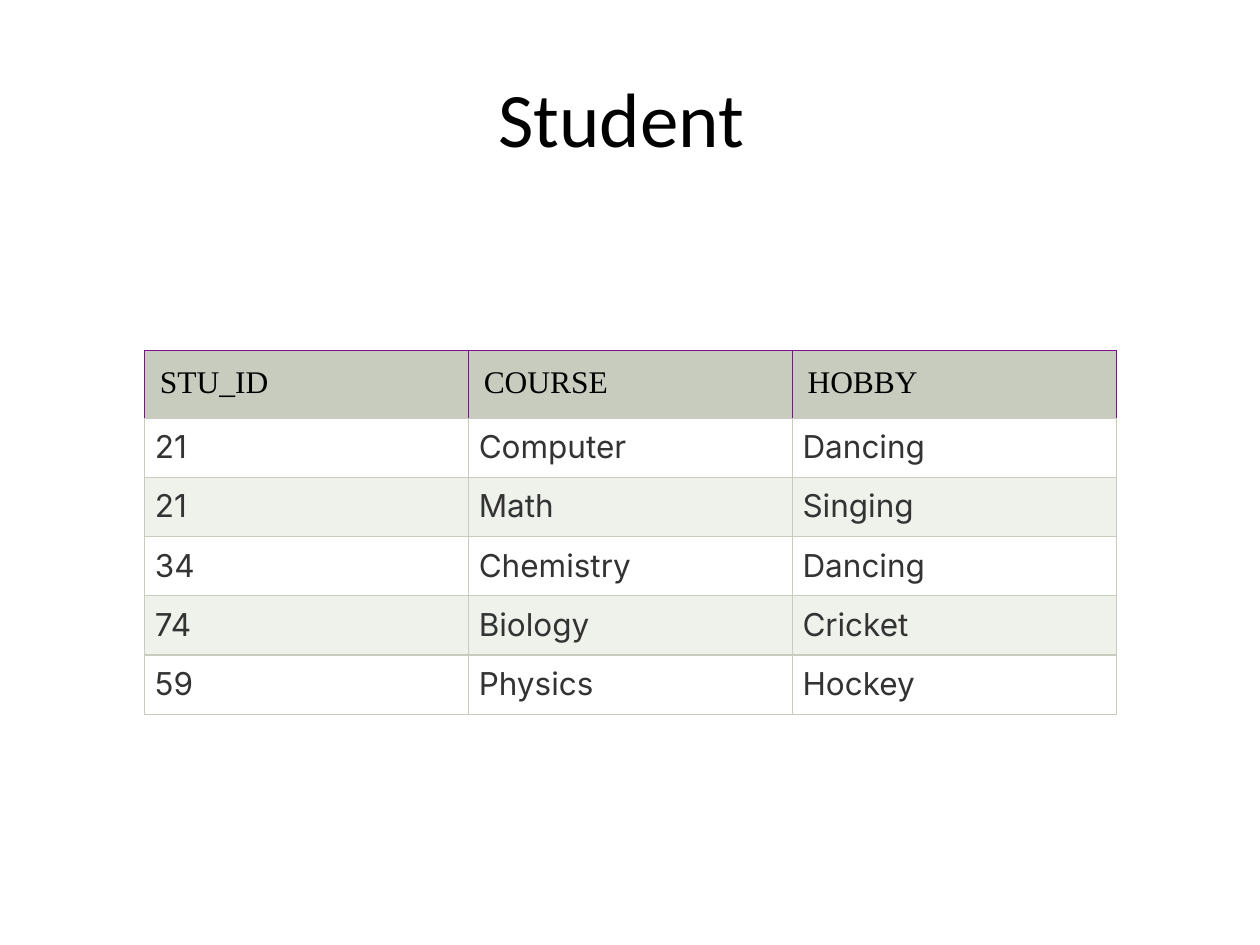
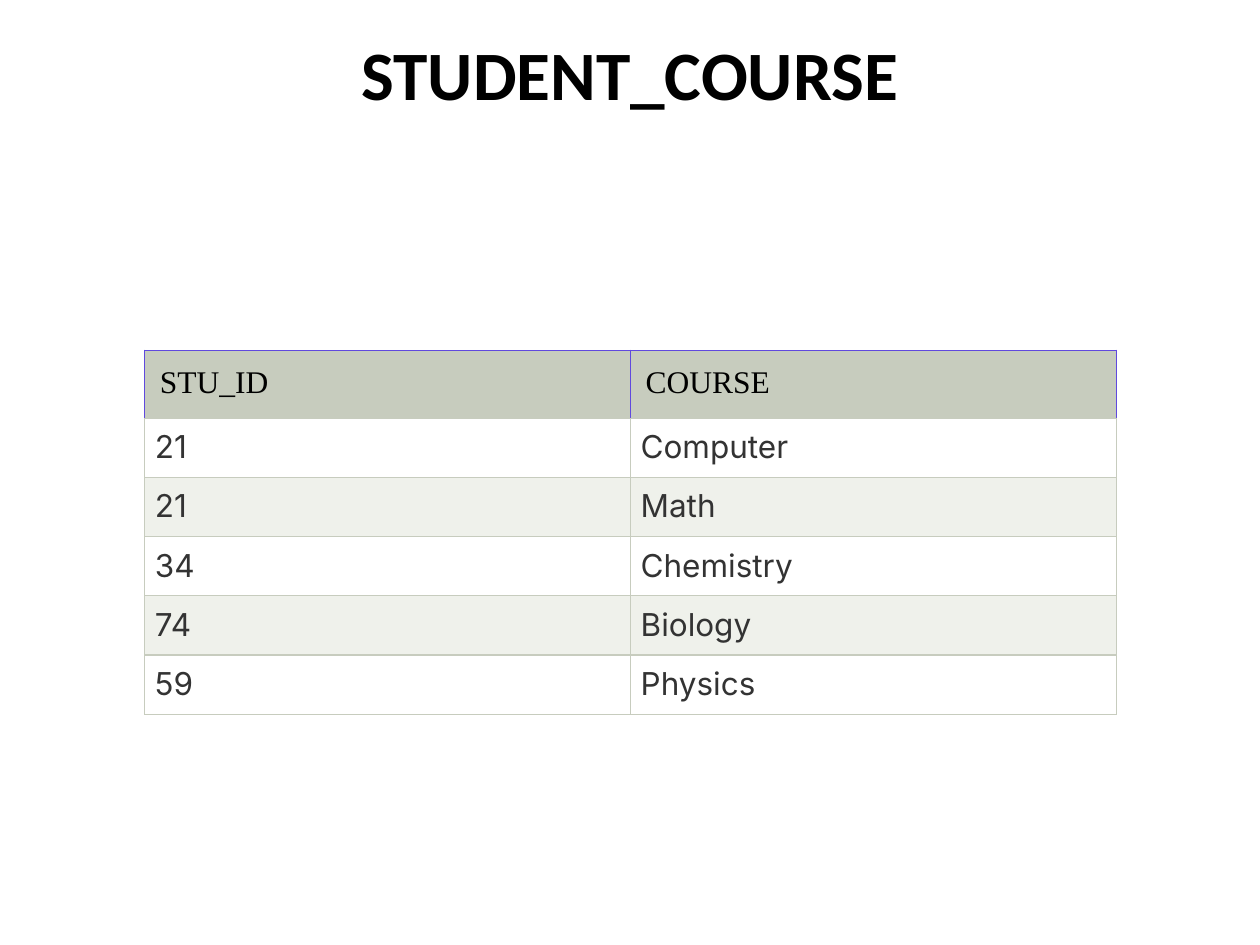
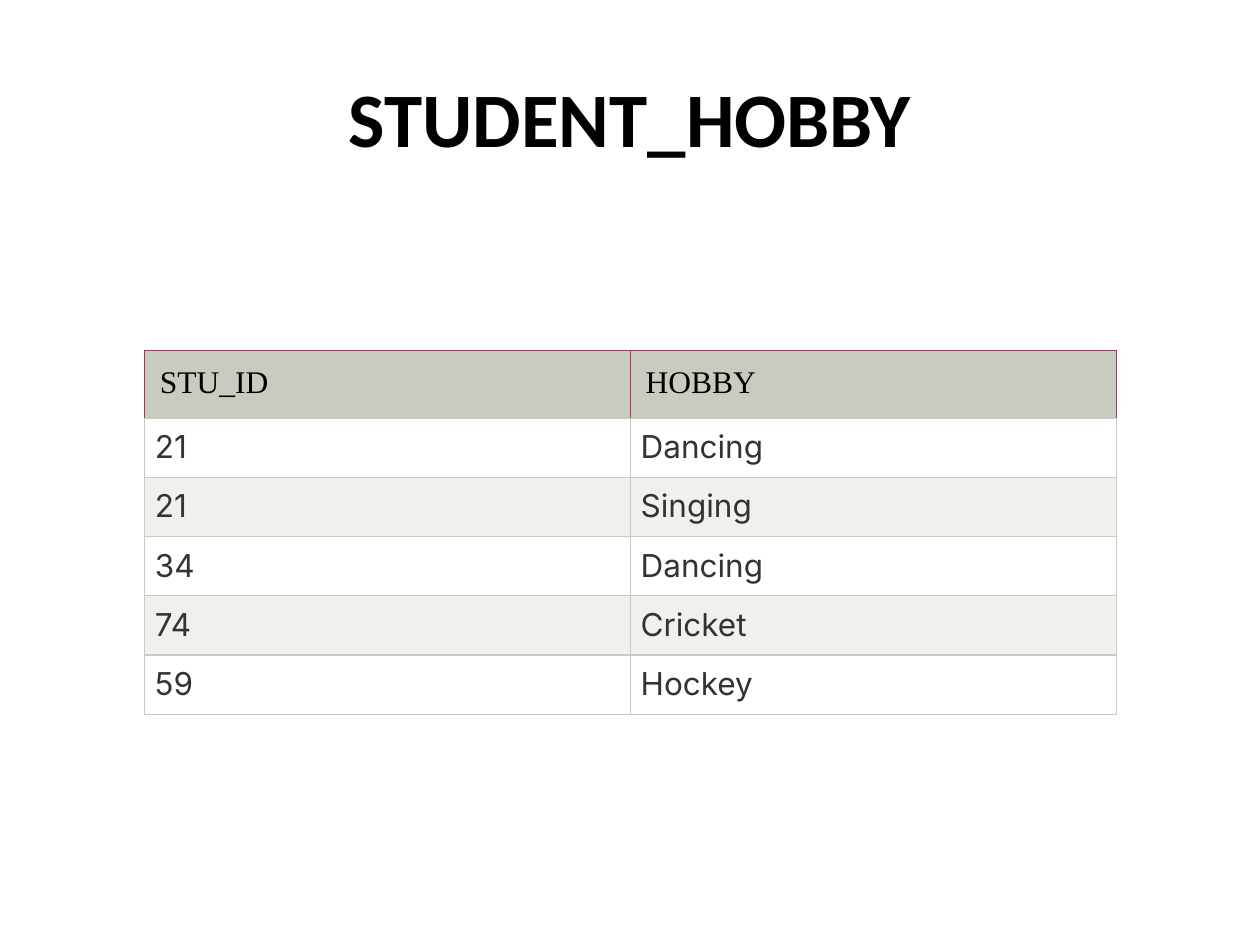
from pptx import Presentation
from pptx import util as u
from pptx.dml import color
from pptx.enum import text
from pptx.oxml import xmlchemy
from pptx.oxml import ns
from lxml import etree

COLORS = {
    "background": "FFFFFF",
    "title": "000000",
    "header": "C7CCBE",
    "body": "333333",
    "plain": "FFFFFF",
    "band": "EFF1EB",
    "purple": "800E92",
    "indigo": "6049DE",
    "crimson": "C02A59",
}

STUDENTS = [
    {"STU_ID": "21", "COURSE": "Computer", "HOBBY": "Dancing"},
    {"STU_ID": "21", "COURSE": "Math", "HOBBY": "Singing"},
    {"STU_ID": "34", "COURSE": "Chemistry", "HOBBY": "Dancing"},
    {"STU_ID": "74", "COURSE": "Biology", "HOBBY": "Cricket"},
    {"STU_ID": "59", "COURSE": "Physics", "HOBBY": "Hockey"},
]


def rgb(name):
    return color.RGBColor.from_string(COLORS[name])


class DeckBuilder:
    TABLE_WIDTH = 7.71
    HEADER_HEIGHT = 0.53
    ROW_HEIGHT = 0.47

    def __init__(self):
        self.deck = Presentation()
        self.deck.slide_width = u.Inches(10)
        self.deck.slide_height = u.Inches(7.5)
        self.page = None

    def add_page(self):
        self.page = self.deck.slides.add_slide(self.deck.slide_layouts[6])
        fill = self.page.background.fill
        fill.solid()
        fill.fore_color.rgb = rgb("background")

    def style(self, para, face, size, ink, bold=False):
        para.font.name = face
        para.font.size = u.Pt(size)
        para.font.color.rgb = rgb(ink)
        para.font.bold = bold

    def title(self, words, size=44, bold=True, top=0.3,
              anchor=text.MSO_ANCHOR.MIDDLE):
        box = self.page.shapes.add_textbox(
            u.Inches(0.5), u.Inches(top), u.Inches(9), u.Inches(1.25))
        frame = box.text_frame
        frame.word_wrap = True
        frame.vertical_anchor = anchor
        para = frame.paragraphs[0]
        para.text = words
        para.alignment = text.PP_ALIGN.CENTER
        self.style(para, "Calibri", size, "title", bold)

    def borders(self, cell, sides):
        """Draw the left, right, top and bottom edges, in that order."""
        properties = cell._tc.get_or_add_tcPr()
        for index, (tag, name) in enumerate(zip(("lnL", "lnR", "lnT", "lnB"), sides)):
            line = etree.Element(ns.qn("a:" + tag), w=str(u.Pt(0.75)))
            solid = etree.SubElement(line, ns.qn("a:solidFill"))
            etree.SubElement(solid, ns.qn("a:srgbClr"), val=COLORS[name])
            properties.insert(index, line)

    def cell(self, cell, words, fill, inset, sides):
        cell.text = words
        cell.fill.solid()
        cell.fill.fore_color.rgb = rgb(fill)
        cell.margin_left = cell.margin_right = u.Inches(inset)
        cell.margin_top = cell.margin_bottom = u.Inches(inset)
        self.borders(cell, sides)
        return cell.text_frame.paragraphs[0]

    def table(self, fields, accent):
        """Show the chosen student fields, with accent lines around the header."""
        height = self.HEADER_HEIGHT + self.ROW_HEIGHT * len(STUDENTS)
        table = self.page.shapes.add_table(
            len(STUDENTS) + 1, len(fields), u.Inches(1.15), u.Inches(2.78),
            u.Inches(self.TABLE_WIDTH), u.Inches(height)).table
        table.first_row = table.horz_banding = False
        for row in table.rows:
            row.height = u.Inches(self.ROW_HEIGHT)
        table.rows[0].height = u.Inches(self.HEADER_HEIGHT)

        for column, field in enumerate(fields):
            table.columns[column].width = u.Inches(self.TABLE_WIDTH / len(fields))
            para = self.cell(table.cell(0, column), field, "header", 0.12,
                             (accent, accent, accent, "header"))
            self.style(para, "Times New Roman", 18, "title")
            for row, student in enumerate(STUDENTS, start=1):
                para = self.cell(table.cell(row, column), student[field],
                                 "plain" if row % 2 else "band", 0.08,
                                 ("header",) * 4)
                para.alignment = text.PP_ALIGN.JUSTIFY
                self.style(para, "Inter", 18, "body")


def main():
    builder = DeckBuilder()

    builder.add_page()
    builder.title("Student ", bold=False)
    builder.table(["STU_ID", "COURSE", "HOBBY"], "purple")

    builder.add_page()
    builder.title("STUDENT_COURSE", size=39.6, top=0.2, anchor=text.MSO_ANCHOR.TOP)
    builder.table(["STU_ID", "COURSE"], "indigo")

    builder.add_page()
    builder.title("STUDENT_HOBBY")
    builder.table(["STU_ID", "HOBBY"], "crimson")

    builder.deck.save("out.pptx")


if __name__ == "__main__":
    main()
